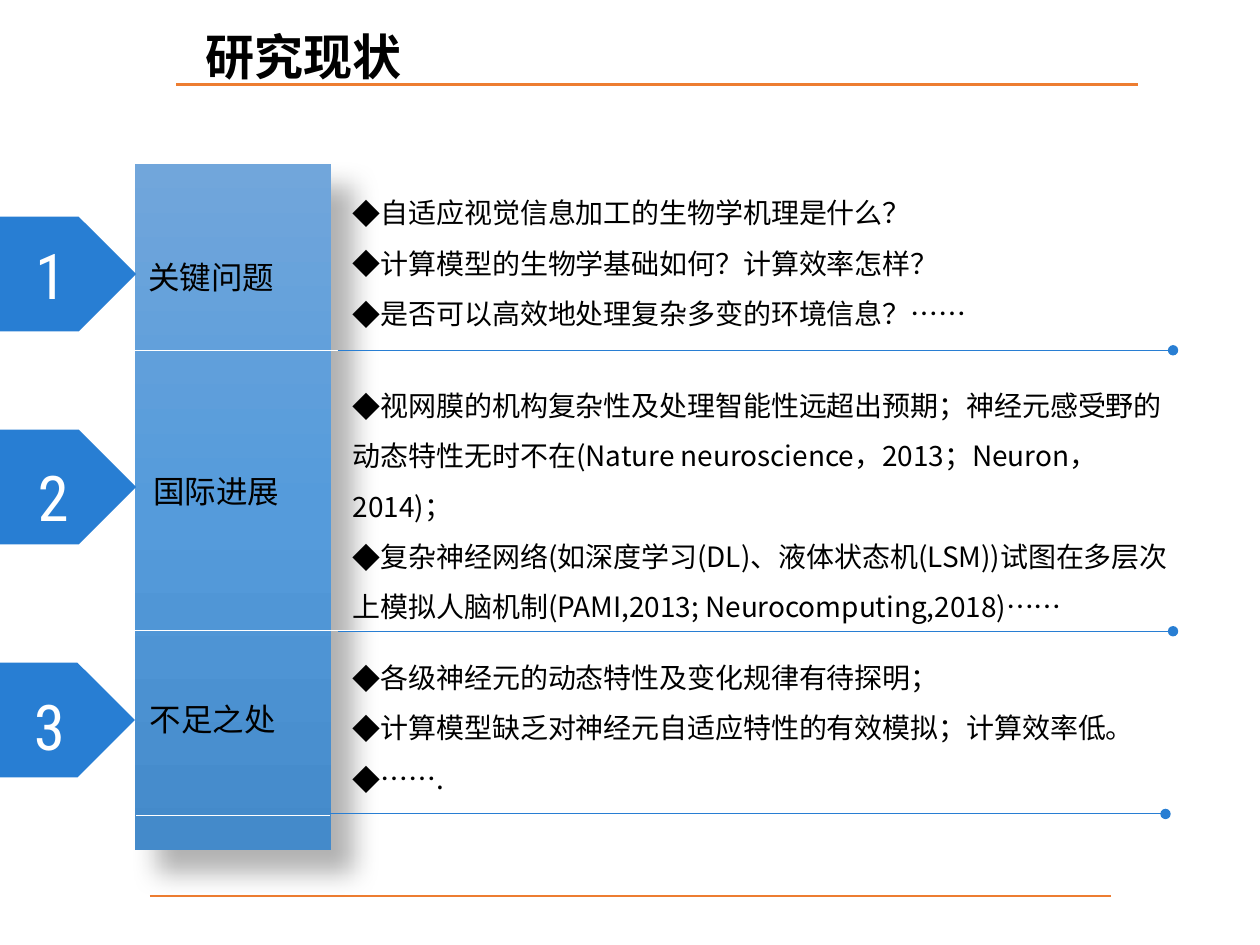
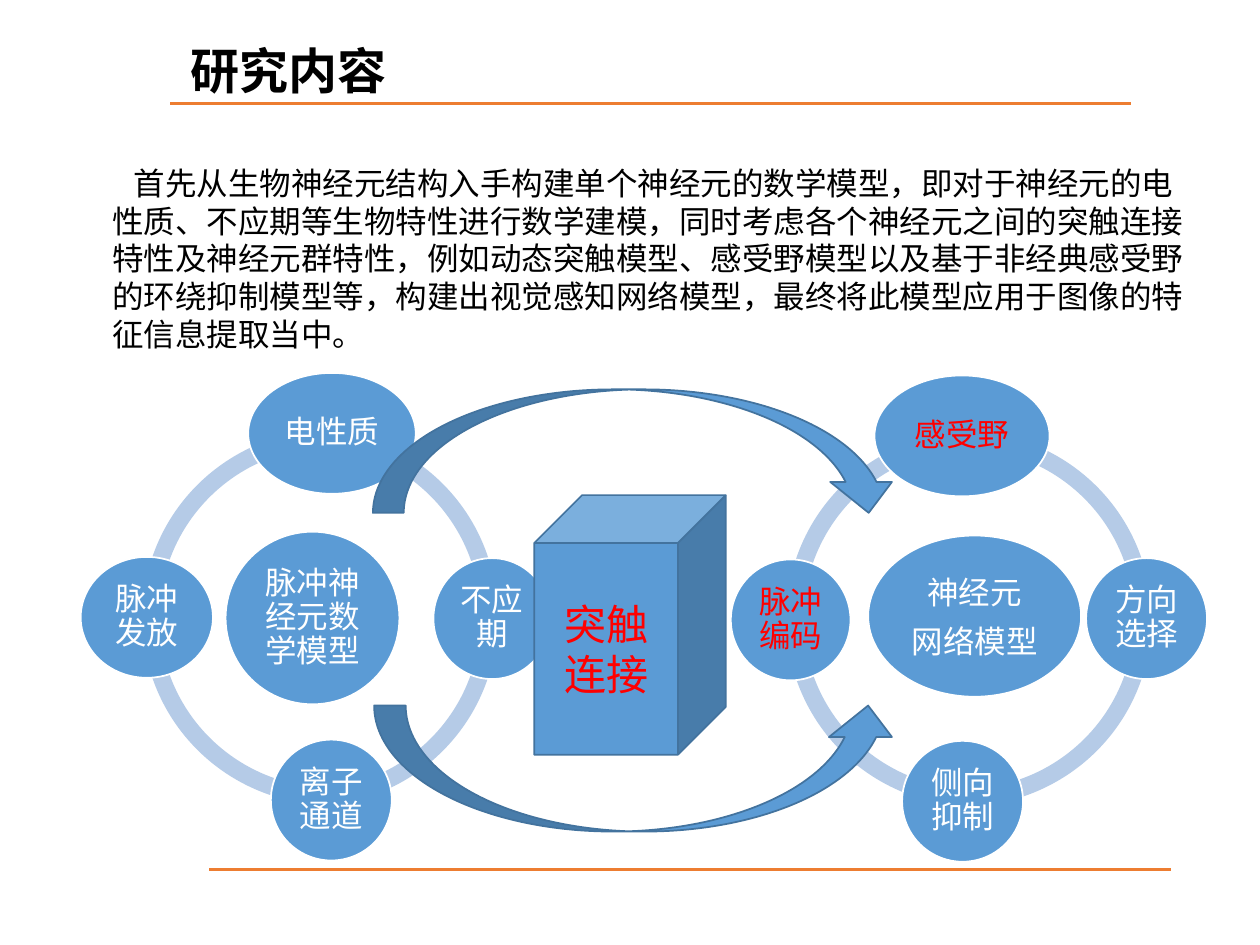
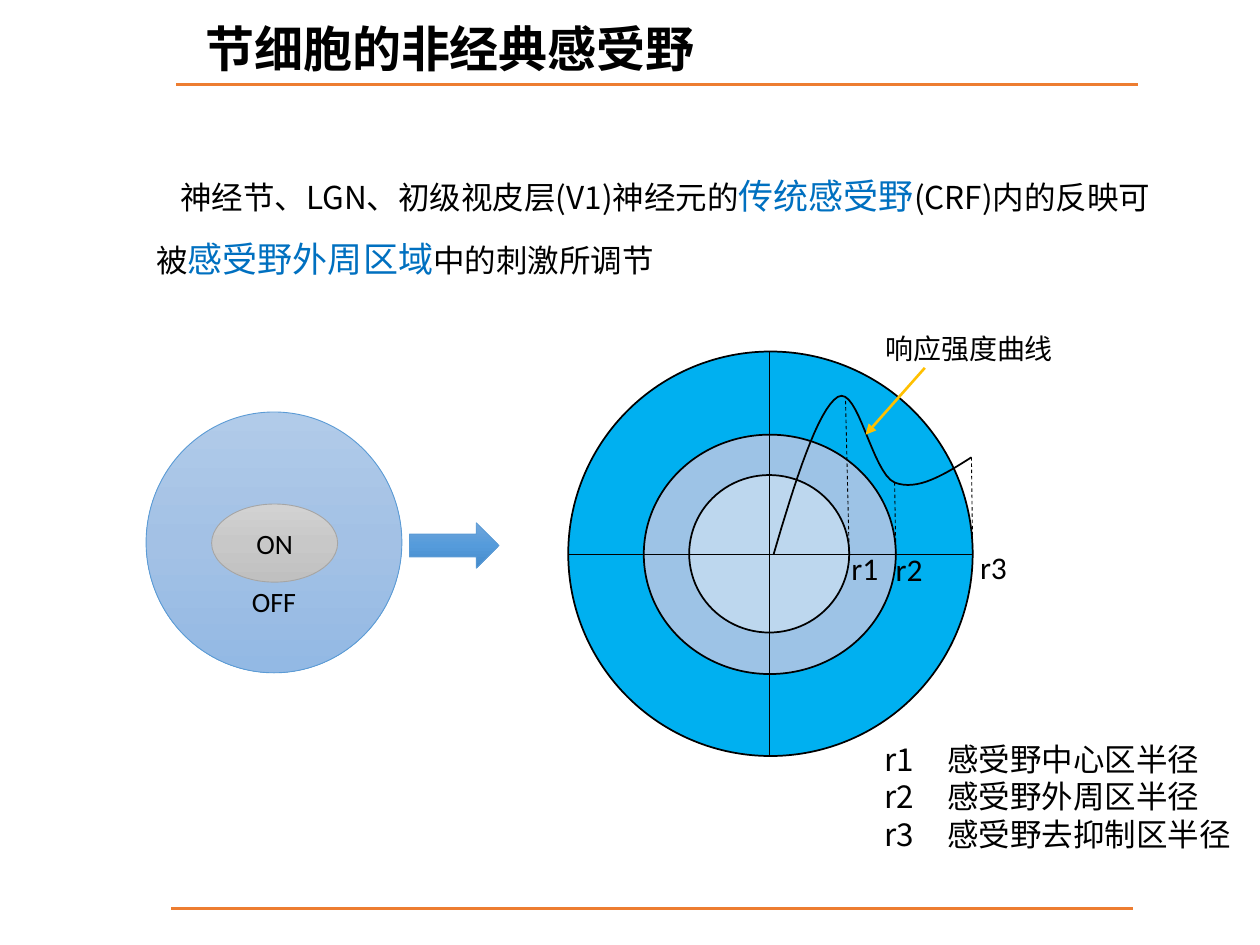
from copy import deepcopy
from dataclasses import dataclass

from lxml.etree import SubElement
from pptx import Presentation
from pptx.dml.color import RGBColor
from pptx.enum.dml import MSO_LINE
from pptx.enum.shapes import MSO_CONNECTOR, MSO_SHAPE
from pptx.enum.text import MSO_ANCHOR, MSO_AUTO_SIZE, PP_ALIGN
from pptx.oxml.ns import qn
from pptx.util import Inches, Pt


@dataclass(frozen=True)
class Theme:
    sans: str = "Noto Sans CJK SC"
    label: str = "DejaVu Sans"
    digit: str = "Roboto Condensed"
    latin: str = "Calibri"
    black: str = "000000"
    white: str = "FFFFFF"
    red: str = "FF0000"
    orange: str = "ED7D31"
    amber: str = "FFC000"
    flag: str = "287ED3"
    blue: str = "5B9BD5"
    edge: str = "43739E"
    ring: str = "B5CBE7"
    key: str = "0070C0"
    gray: str = "A5A5A5"
    blues: tuple = ("71A6DB", "559BDB", "448ACA")
    pales: tuple = ("B1CBE9", "A3C1E5", "93B9E4")
    grays: tuple = ("D2D2D2", "C8C8C8", "C0C0C0")
    zones: tuple = ("00B0F0", "9DC3E6", "BDD7EE")
    title: int = 28
    number: int = 36
    large: int = 24
    accent: int = 20
    body: int = 18
    small: int = 16


THEME = Theme()
COLUMNS, ROWS = 10, 7.5
WIDTH, HEIGHT = Inches(10), Inches(7.5)
RULE_COLUMNS = 7.63


# Grid: columns across, rows down
def across(columns):
    return int(WIDTH * columns / COLUMNS)


def down(rows):
    return int(HEIGHT * rows / ROWS)


def grid(left, top, width, height):
    return across(left), down(top), across(width), down(height)


# Text
def format_span(span, size, color, font, bold):
    span.font.size = Pt(size)
    span.font.bold = bold
    span.font.color.rgb = RGBColor.from_string(color)
    span.font.name = font
    SubElement(span.font._element, qn("a:ea"), typeface=font)


def write(box, paragraphs, *, size=THEME.body, color=THEME.black, font=THEME.sans,
          bold=False, align=PP_ALIGN.LEFT, anchor=MSO_ANCHOR.TOP, spacing=1.0,
          after=0, indent=0, bullet=None, tab=None, insets=(0.1, 0.05, 0.1, 0.05)):
    """Each paragraph is a string or a list of (text, format changes) spans."""
    frame = box.text_frame
    frame.word_wrap = True
    frame.auto_size = MSO_AUTO_SIZE.NONE
    frame.vertical_anchor = anchor
    frame.margin_left, frame.margin_top, frame.margin_right, frame.margin_bottom = map(
        Inches, insets)
    for index, content in enumerate(paragraphs):
        para = frame.add_paragraph() if index else frame.paragraphs[0]
        para.alignment = align
        para.line_spacing = spacing
        para.space_before, para.space_after = Pt(0), Pt(after)
        props = para._p.get_or_add_pPr()
        props.set("marL", "0")
        props.set("indent", str(across(indent)))
        if bullet:
            SubElement(props, qn("a:buFont"), typeface=font)
            SubElement(props, qn("a:buChar"), char=bullet)
        else:
            SubElement(props, qn("a:buNone"))
        if tab:
            tabs = SubElement(props, qn("a:tabLst"))
            SubElement(tabs, qn("a:tab"), pos=str(across(tab)), algn="l")
        for text, changes in [(content, {})] if isinstance(content, str) else content:
            span = para.add_run()
            span.text = text
            base = dict(size=size, color=color, font=font, bold=bold)
            format_span(span, **{**base, **changes})


def add_text(page, place, *paragraphs, **style):
    write(page.shapes.add_textbox(*grid(*place)), paragraphs, **style)


def fill_placeholder(page, index, place, *paragraphs, **style):
    box = page.placeholders[index]
    box.left, box.top, box.width, box.height = grid(*place)
    box.element.getparent().append(box.element)  # bring to front
    write(box, paragraphs, **style)


# Shapes and lines
def paint(shape, colors):
    if isinstance(colors, str):
        shape.fill.solid()
        shape.fill.fore_color.rgb = RGBColor.from_string(colors)
        return
    shape.fill.gradient()
    shape.fill.gradient_angle = 270
    stops = shape.element.spPr.find(qn("a:gradFill")).find(qn("a:gsLst"))
    stops.append(deepcopy(stops[0]))
    for stop, color, position in zip(shape.fill.gradient_stops, colors, (0, 0.5, 1)):
        stop.color.rgb = RGBColor.from_string(color)
        stop.position = position


def add_shape(page, kind, place, fill, line=None, weight=1, adjust=()):
    shape = page.shapes.add_shape(kind, *grid(*place))
    shape.shadow.inherit = False
    paint(shape, fill)
    for index, value in enumerate(adjust):
        shape.adjustments[index] = value
    if line:
        shape.line.color.rgb = RGBColor.from_string(line)
        shape.line.width = Pt(weight)
    else:
        shape.line.fill.background()
    return shape


def add_shadow(shape):
    effects = shape.element.spPr.find(qn("a:effectLst"))
    shadow = SubElement(effects, qn("a:outerShdw"), blurRad=str(Pt(15)), dist=str(Pt(18)),
                        dir=str(45 * 60000), algn="tl", rotWithShape="0")
    color = SubElement(shadow, qn("a:srgbClr"), val=THEME.black)
    SubElement(color, qn("a:alpha"), val="30000")


def add_line(page, start, end, color, weight=0.5, tail=None, dashed=False):
    line = page.shapes.add_connector(
        MSO_CONNECTOR.STRAIGHT, across(start[0]), down(start[1]), across(end[0]), down(end[1]))
    line.line.color.rgb = RGBColor.from_string(color)
    line.line.width = Pt(weight)
    if dashed:
        line.line.dash_style = MSO_LINE.DASH
    if tail:
        SubElement(line.line._get_or_add_ln(), qn("a:tailEnd"), type=tail)
    SubElement(line.element.spPr, qn("a:effectLst"))


def add_curve(page, start, segments, color, steps=16):
    """Draw a chain of cubic curves; each segment is two handles and an end."""
    points = []
    for first, second, end in segments:
        for step in range(1, steps + 1):
            t = step / steps
            weights = ((1 - t) ** 3, 3 * t * (1 - t) ** 2, 3 * t * t * (1 - t), t ** 3)
            points.append(tuple(
                sum(w * p[axis] for w, p in zip(weights, (start, first, second, end)))
                for axis in (0, 1)))
        start = end
    builder = page.shapes.build_freeform(across(segments_start[0]), down(segments_start[1])) \
        if (segments_start := RESPONSE_START) else None
    builder.add_line_segments([(across(x), down(y)) for x, y in points], close=False)
    curve = builder.convert_to_shape()
    curve.shadow.inherit = False
    curve.fill.background()
    curve.line.color.rgb = RGBColor.from_string(color)
    curve.line.width = Pt(1)


RESPONSE_START = (6.14, 4.4)
RESPONSE = [
    ((6.31, 3.82), (6.49, 3.25), (6.65, 3.15)),
    ((6.81, 3.06), (6.92, 3.75), (7.1, 3.83)),
    ((7.28, 3.9), (7.49, 3.77), (7.71, 3.63)),
]


# Shared frame: title with a rule below it, and a rule at the foot
def add_page(deck, layout, title, title_at, rule_at, foot_at):
    page = deck.slides.add_slide(deck.slide_layouts[layout])
    fill_placeholder(page, 0, (*title_at, 6.19, 0.57), title, size=THEME.title, bold=True)
    for left, top in (rule_at, foot_at):
        add_line(page, (left, top), (left + RULE_COLUMNS, top), THEME.orange, 1.5)
    return page


def add_circle(page, place, *paragraphs, color=THEME.white, spacing=0.9, after=0):
    circle = add_shape(page, MSO_SHAPE.OVAL, place, THEME.blue, THEME.white)
    write(circle, paragraphs, color=color, align=PP_ALIGN.CENTER, anchor=MSO_ANCHOR.MIDDLE,
          spacing=spacing, after=after, insets=(0.03,) * 4)


def add_ring(page, arcs):
    for left, top, begin, end in arcs:
        add_shape(page, MSO_SHAPE.BLOCK_ARC, (left, top, 3, 2.98), THEME.ring,
                  adjust=(begin, end, 0.046))


# Slide 1: three numbered sections beside a vertical band
def build_status(deck):
    page = add_page(deck, 4, "研究现状", (1.53, 0.16), (1.4, 0.67), (1.19, 7.11))
    add_shadow(add_shape(page, MSO_SHAPE.RECTANGLE, (1.07, 1.3, 1.56, 5.45), THEME.blues))
    for left, right, top in ((1.05, 4.04, 2.78), (0.97, 3.96, 5), (1.08, 2.62, 6.47)):
        add_line(page, (left, top), (right, top), THEME.white)
    for left, top in ((2.68, 2.78), (2.68, 5.01), (2.62, 6.46)):
        add_line(page, (left, top), (left + 6.63, top), THEME.flag, tail="oval")

    sections = [
        ("关键问题", (1.08, 2), (0, 1.72), (0.18, 1.83), (2.7, 1.37, 7.3, 1.85), [
            "自适应视觉信息加工的生物学机理是什么？",
            "计算模型的生物学基础如何？计算效率怎样？",
            "是否可以高效地处理复杂多变的环境信息？……"]),
        ("国际进展", (1.12, 3.7), (0, 3.41), (0.2, 3.59), (2.7, 2.9, 6.84, 2.26), [
            "视网膜的机构复杂性及处理智能性远超出预期；神经元感受野的动态特性无时不在"
            "(Nature neuroscience，2013；Neuron，2014)；",
            "复杂神经网络(如深度学习(DL)、液体状态机(LSM))试图在多层次上模拟人脑机制"
            "(PAMI,2013; Neurocomputing,2018)……"]),
        ("不足之处", (1.09, 5.51), (-0.01, 5.26), (0.17, 5.41), (2.7, 5.06, 6.66, 1.85), [
            "各级神经元的动态特性及变化规律有待探明；",
            "计算模型缺乏对神经元自适应特性的有效模拟；计算效率低。",
            "……."]),
    ]
    for number, (label, label_at, flag_at, digit_at, place, items) in enumerate(sections, 1):
        add_text(page, (*label_at, 1.5, 0.4), label, font=THEME.label)
        add_shape(page, MSO_SHAPE.PENTAGON, (*flag_at, 1.08, 0.91), THEME.flag)
        add_text(page, (*digit_at, 0.6, 0.71), str(number), size=THEME.number,
                 font=THEME.digit, color=THEME.white)
        fill_placeholder(page, number, place, *items, size=THEME.small, spacing=1.5, bullet="◆")
    unused = page.placeholders[4].element
    unused.getparent().remove(unused)


# Slide 2: two model rings linked by a synapse block
def build_content(deck):
    page = add_page(deck, 1, "研究内容", (1.41, 0.27), (1.35, 0.82), (1.66, 6.9))
    add_ring(page, [(1.13, 3.41, 108, 162), (1.13, 3.41, 54, 108),
                    (0.95, 3.42, 0.08, 49.635), (0.95, 3.4, 166.359, 0.633)])
    add_circle(page, (1.79, 4.22, 1.38, 1.37), "脉冲神经元数学模型")
    add_circle(page, (1.97, 2.96, 1.33, 0.96), "电性质")
    add_circle(page, (3.44, 4.43, 0.93, 0.96), "不应期")
    add_circle(page, (2.15, 5.87, 0.96, 0.96), "离子通道")
    add_circle(page, (0.64, 4.42, 1.05, 0.96), "脉冲发放")

    add_ring(page, [(6.24, 3.42, 107.749, 159.772), (6.24, 3.42, 56.229, 107.894),
                    (6.14, 3.42, 0, 54), (6.14, 3.42, 162, 0)])
    add_circle(page, (6.89, 4.25, 1.69, 1.28), "神经元", "网络模型", spacing=1, after=6.3)
    add_circle(page, (6.94, 2.98, 1.39, 0.96), "感受野", color=THEME.red)
    add_circle(page, (8.62, 4.43, 0.96, 0.96), "方向选择")
    add_circle(page, (7.16, 5.88, 0.96, 0.96), "侧向抑制")
    add_circle(page, (5.8, 4.44, 0.95, 0.96), "脉冲编码", color=THEME.red)

    for kind, place in ((MSO_SHAPE.CURVED_UP_ARROW, (2.97, 5.6, 4.17, 1)),
                        (MSO_SHAPE.CURVED_DOWN_ARROW, (2.96, 3.09, 4.18, 0.98))):
        add_shape(page, kind, place, THEME.blue, THEME.edge)
    cube = add_shape(page, MSO_SHAPE.CUBE, (4.24, 3.93, 1.52, 2.06), THEME.blue, THEME.edge)
    write(cube, ["突触", "连接"], size=THEME.large, color=THEME.red,
          align=PP_ALIGN.CENTER, anchor=MSO_ANCHOR.MIDDLE)
    fill_placeholder(
        page, 1, (0.79, 1.25, 8.72, 1.62),
        "首先从生物神经元结构入手构建单个神经元的数学模型，即对于神经元的电性质、不应期等生物特性"
        "进行数学建模，同时考虑各个神经元之间的突触连接特性及神经元群特性，例如动态突触模型、"
        "感受野模型以及基于非经典感受野的环绕抑制模型等，构建出视觉感知网络模型，"
        "最终将此模型应用于图像的特征信息提取当中。", indent=0.17)


# Slide 3: receptive field zones and the response curve
def build_field(deck):
    page = add_page(deck, 1, "节细胞的非经典感受野", (1.53, 0.1), (1.4, 0.67), (1.36, 7.21))
    key = dict(size=THEME.accent, color=THEME.key)
    fill_placeholder(page, 1, (1.14, 1.17, 8.14, 1.03), [
        ("神经节、LGN、初级视皮层(V1)神经元的", {}), ("传统感受野", key),
        ("(CRF)内的反映可被", {}), ("感受野外周区域", key), ("中的刺激所调节", {})],
        spacing=1.5, indent=0.19)

    # Classical field
    centered = dict(size=THEME.small, font=THEME.latin, align=PP_ALIGN.CENTER)
    outer = add_shape(page, MSO_SHAPE.OVAL, (1.16, 3.27, 2.03, 2.07), THEME.pales,
                      THEME.blue, 0.5)
    write(outer, ["OFF"], anchor=MSO_ANCHOR.BOTTOM, insets=(0.1, 0.05, 0.1, 0.13), **centered)
    inner = add_shape(page, MSO_SHAPE.OVAL, (1.68, 4, 1, 0.62), THEME.grays, THEME.gray, 0.5)
    write(inner, ["ON"], anchor=MSO_ANCHOR.MIDDLE, **centered)
    add_shape(page, MSO_SHAPE.RIGHT_ARROW, (3.25, 4.15, 0.71, 0.36), THEME.blues,
              THEME.blue, 0.5)

    # Concentric zones with axes and radius marks
    zones = ((4.51, 2.79, 3.21, 3.21), (5.11, 3.45, 2, 1.9), (5.47, 3.77, 1.27, 1.25))
    for place, color in zip(zones, THEME.zones):
        add_shape(page, MSO_SHAPE.OVAL, place, color, THEME.black)
    add_line(page, (4.51, 4.4), (7.72, 4.4), THEME.black)
    add_line(page, (6.11, 2.79), (6.11, 6), THEME.black)
    for foot, head, top in ((6.74, 6.71, 3.15), (7.11, 7.1, 3.83), (7.72, 7.71, 3.63)):
        add_line(page, (foot, 4.4), (head, top), THEME.black, dashed=True)
    add_curve(page, RESPONSE_START, RESPONSE, THEME.black)

    # Labels
    for name, left, top in (("r1", 6.66, 4.31), ("r2", 7.01, 4.32), ("r3", 7.68, 4.3)):
        add_text(page, (left, top, 0.5, 0.4), name, font=THEME.latin)
    add_text(page, (6.93, 2.58, 1.6, 0.37), "响应强度曲线", size=THEME.small)
    add_text(page, (6.92, 5.82, 3.04, 1.31), "r1\t感受野中心区半径",
             "r2\t感受野外周区半径", "r3\t感受野去抑制区半径", tab=0.4)
    add_line(page, (7.34, 2.92), (6.87, 3.45), THEME.amber, 1.5, tail="triangle")


def main():
    deck = Presentation()
    deck.slide_width, deck.slide_height = WIDTH, HEIGHT
    build_status(deck)
    build_content(deck)
    build_field(deck)
    deck.save("out.pptx")


if __name__ == "__main__":
    main()
